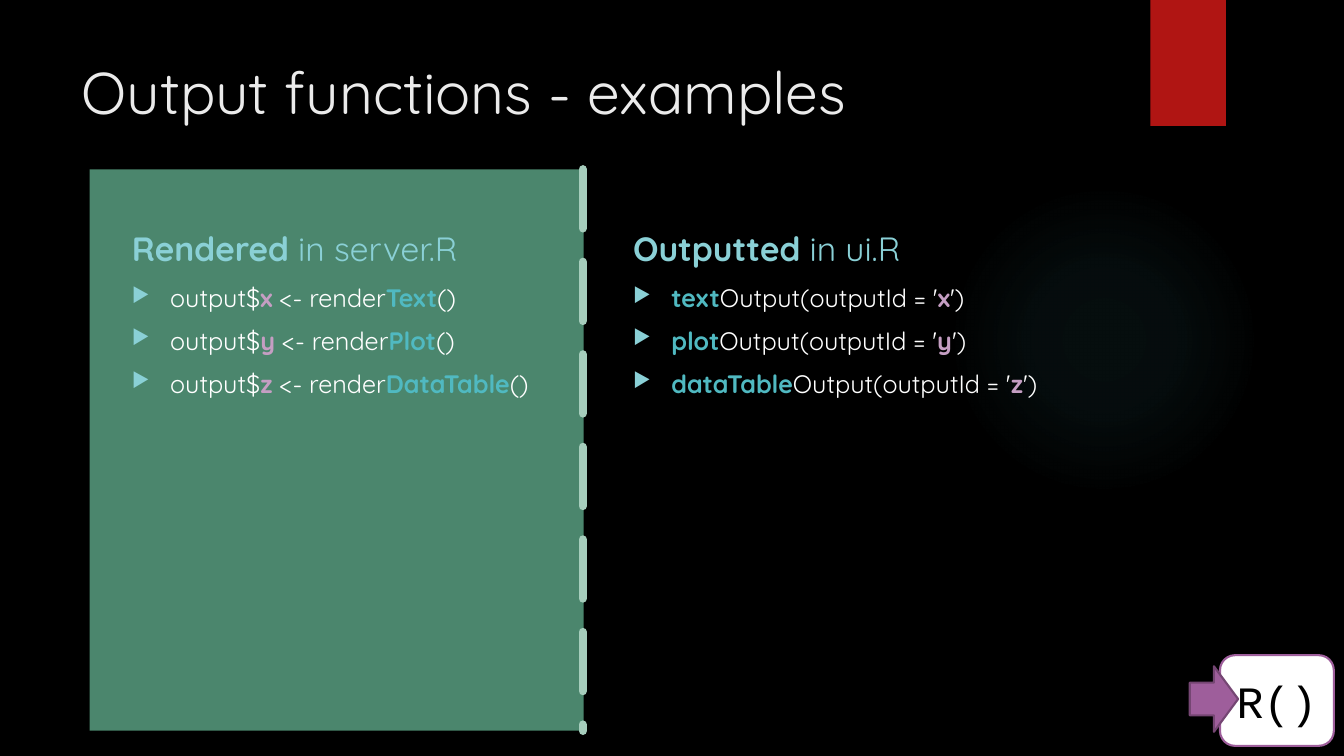
from dataclasses import dataclass

from lxml.etree import SubElement
from pptx import Presentation
from pptx.dml.color import RGBColor
from pptx.enum.dml import MSO_LINE
from pptx.enum.shapes import MSO_CONNECTOR, MSO_SHAPE
from pptx.enum.text import MSO_ANCHOR, PP_ALIGN
from pptx.oxml import parse_xml
from pptx.oxml.ns import nsdecls, qn
from pptx.util import Inches, Pt


@dataclass(frozen=True)
class Theme:
    font: str = "Quicksand"
    code_font: str = "Courier New"
    title_size: int = 42
    heading_size: int = 24
    item_size: int = 18
    badge_size: int = 32
    black: str = "000000"
    white: str = "FFFFFF"
    title: str = "EBEBEB"
    heading: str = "8AD0D6"
    kind: str = "50B9C1"
    name: str = "C59EC3"
    red: str = "B01513"
    green: str = "4B866D"
    mint: str = "A6CDBC"
    purple: str = "9E5E9B"
    dark_purple: str = "754673"


THEME = Theme()
TITLE = "Output functions - examples"
OUTPUTS = [("x", "Text", "text"), ("y", "Plot", "plot"), ("z", "DataTable", "dataTable")]
# Each span is (text, colour, bold).
COLUMNS = [
    ("Rendered", " in server.R", [
        [("output$", THEME.white, False), (name, THEME.name, True),
         (" <- render", THEME.white, False), (render, THEME.kind, True),
         ("()", THEME.white, False)]
        for name, render, _ in OUTPUTS]),
    ("Outputted", " in ui.R", [
        [(output, THEME.kind, True), ("Output(outputId = '", THEME.white, False),
         (name, THEME.name, True), ("')", THEME.white, False)]
        for name, _, output in OUTPUTS]),
]
COLUMN_LEFT, COLUMN_STEP, COLUMN_WIDTH = 1.21, 4.97, 4.81
PANEL_TOP, PANEL_BOTTOM, DIVIDER_X = 1.68, 7.25, 5.78
GLOW_STOPS = [(0, 7), (36, 6), (69, 0)]


def colour(value):
    return RGBColor.from_string(value)


def add_block(shapes, kind, box, fill, line=None):
    block = shapes.add_shape(kind, *map(Inches, box))
    block.shadow.inherit = False
    block.fill.solid()
    block.fill.fore_color.rgb = colour(fill)
    if line:
        block.line.color.rgb = colour(line)
        block.line.width = Pt(1.5)
    else:
        block.line.fill.background()
    return block


def add_spans(para, spans, size, font=THEME.font):
    for text, ink, bold in spans:
        span = para.add_run()
        span.text = text
        span.font.name = font
        span.font.size = Pt(size)
        span.font.bold = bold
        span.font.color.rgb = colour(ink)


def add_text_box(page, box, anchor):
    frame = page.shapes.add_textbox(*map(Inches, box)).text_frame
    frame.word_wrap = True
    frame.vertical_anchor = anchor
    return frame


def add_bullet(para):
    properties = para._p.get_or_add_pPr()
    properties.set("marL", str(Inches(0.38)))
    properties.set("indent", str(-Inches(0.38)))
    ink = SubElement(properties, qn("a:buClr"))
    SubElement(ink, qn("a:srgbClr"), val=THEME.heading)
    SubElement(properties, qn("a:buSzPct"), val="80000")
    SubElement(properties, qn("a:buChar"), char="▶")


def add_glow(page):
    """Add a faint circle that fades out from its centre."""
    glow = add_block(page.shapes, MSO_SHAPE.OVAL, (9.41, 1.83, 3.08, 3.08), THEME.kind)
    stops = "".join(
        f'<a:gs pos="{place * 1000}"><a:srgbClr val="{THEME.kind}">'
        f'<a:alpha val="{alpha * 1000}"/></a:srgbClr></a:gs>'
        for place, alpha in GLOW_STOPS)
    gradient = parse_xml(
        f'<a:gradFill {nsdecls("a")} rotWithShape="1"><a:gsLst>{stops}</a:gsLst>'
        '<a:path path="circle"><a:fillToRect l="50000" t="50000" r="50000" b="50000"/>'
        '</a:path></a:gradFill>')
    properties = glow._element.spPr
    properties.replace(properties.find(qn("a:solidFill")), gradient)


def add_divider(page):
    divider = page.shapes.add_connector(
        MSO_CONNECTOR.STRAIGHT, Inches(DIVIDER_X), Inches(PANEL_TOP),
        Inches(DIVIDER_X), Inches(PANEL_BOTTOM))
    divider.line.color.rgb = colour(THEME.mint)
    divider.line.width = Pt(6)
    divider.line.dash_style = MSO_LINE.LONG_DASH
    divider.line._ln.set("cap", "rnd")
    SubElement(divider._element.spPr, qn("a:effectLst"))


def add_title(page):
    title = page.shapes.title
    title.left, title.top, title.width, title.height = map(Inches, (0.71, 0.5, 10.29, 1.53))
    title.text_frame.vertical_anchor = MSO_ANCHOR.TOP
    para = title.text_frame.paragraphs[0]
    para.alignment = PP_ALIGN.LEFT
    add_spans(para, [(TITLE, THEME.title, False)], THEME.title_size)


def add_column(page, left, strong, rest, items):
    heading = add_text_box(page, (left, 2.08, COLUMN_WIDTH, 0.63), MSO_ANCHOR.BOTTOM)
    add_spans(heading.paragraphs[0],
              [(strong, THEME.heading, True), (rest, THEME.heading, False)],
              THEME.heading_size)
    frame = add_text_box(page, (left, 2.75, COLUMN_WIDTH, 4.09), MSO_ANCHOR.TOP)
    for index, spans in enumerate(items):
        para = frame.add_paragraph() if index else frame.paragraphs[0]
        para.space_before = Pt(9)
        add_bullet(para)
        add_spans(para, spans, THEME.item_size)


def add_badge(page):
    group = page.shapes.add_group_shape()
    card = add_block(group.shapes, MSO_SHAPE.ROUNDED_RECTANGLE,
                     (12.1, 6.5, 1.13, 0.9), THEME.white, THEME.purple)
    card.text_frame.vertical_anchor = MSO_ANCHOR.MIDDLE
    para = card.text_frame.paragraphs[0]
    para.alignment = PP_ALIGN.CENTER
    add_spans(para, [("R()", THEME.black, False)], THEME.badge_size, THEME.code_font)
    add_block(group.shapes, MSO_SHAPE.RIGHT_ARROW,
              (11.8, 6.61, 0.48, 0.65), THEME.purple, THEME.dark_purple)


def main():
    deck = Presentation()
    deck.slide_width, deck.slide_height = Inches(13.33), Inches(7.5)
    page = deck.slides.add_slide(deck.slide_layouts[5])
    page.background.fill.solid()
    page.background.fill.fore_color.rgb = colour(THEME.black)

    add_glow(page)
    add_block(page.shapes, MSO_SHAPE.RECTANGLE, (11.41, 0, 0.75, 1.25), THEME.red)
    add_block(page.shapes, MSO_SHAPE.RECTANGLE,
              (0.89, PANEL_TOP, 4.9, PANEL_BOTTOM - PANEL_TOP), THEME.green)
    add_divider(page)
    add_title(page)
    for index, column in enumerate(COLUMNS):
        add_column(page, COLUMN_LEFT + index * COLUMN_STEP, *column)
    add_badge(page)
    deck.save("out.pptx")


if __name__ == "__main__":
    main()
